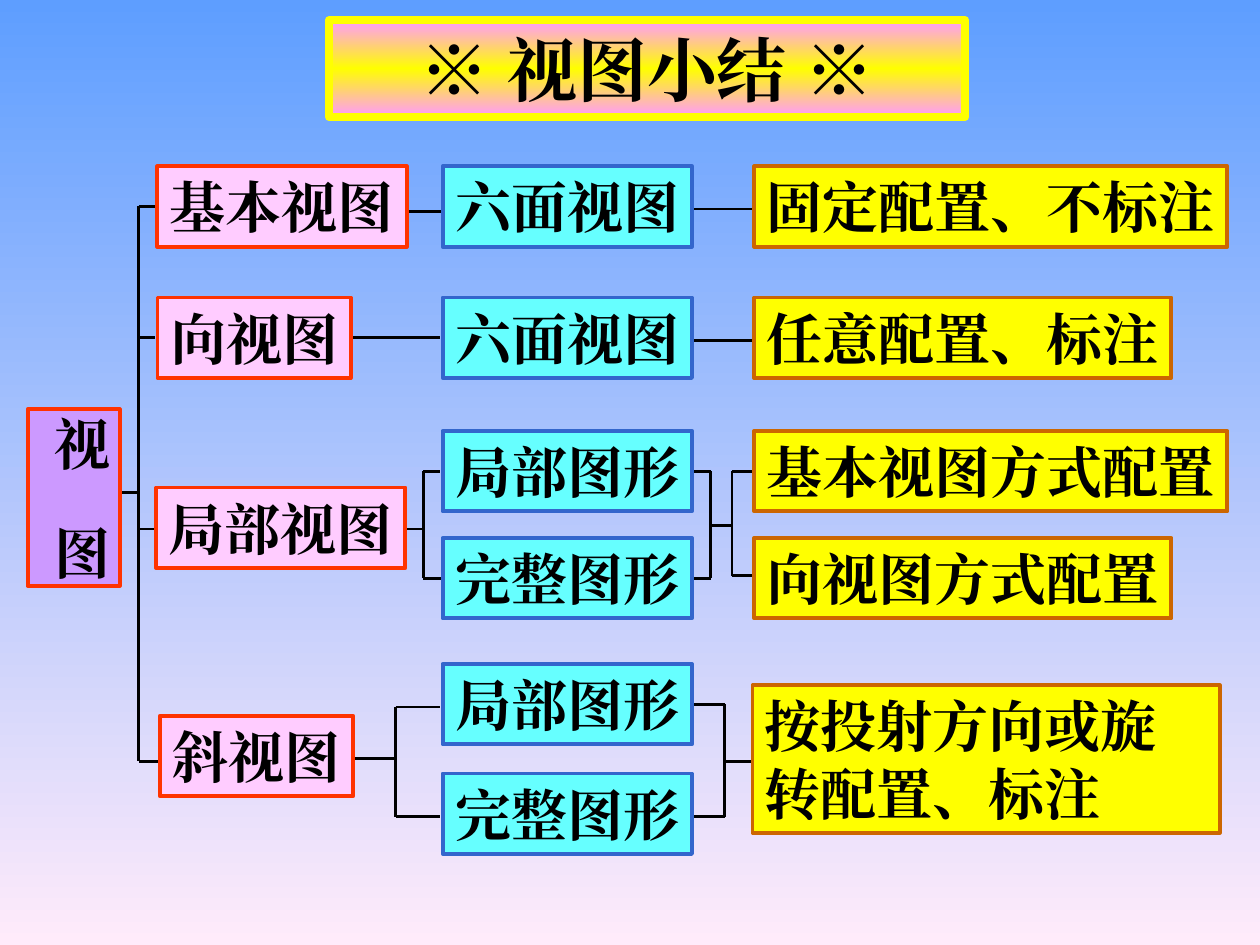
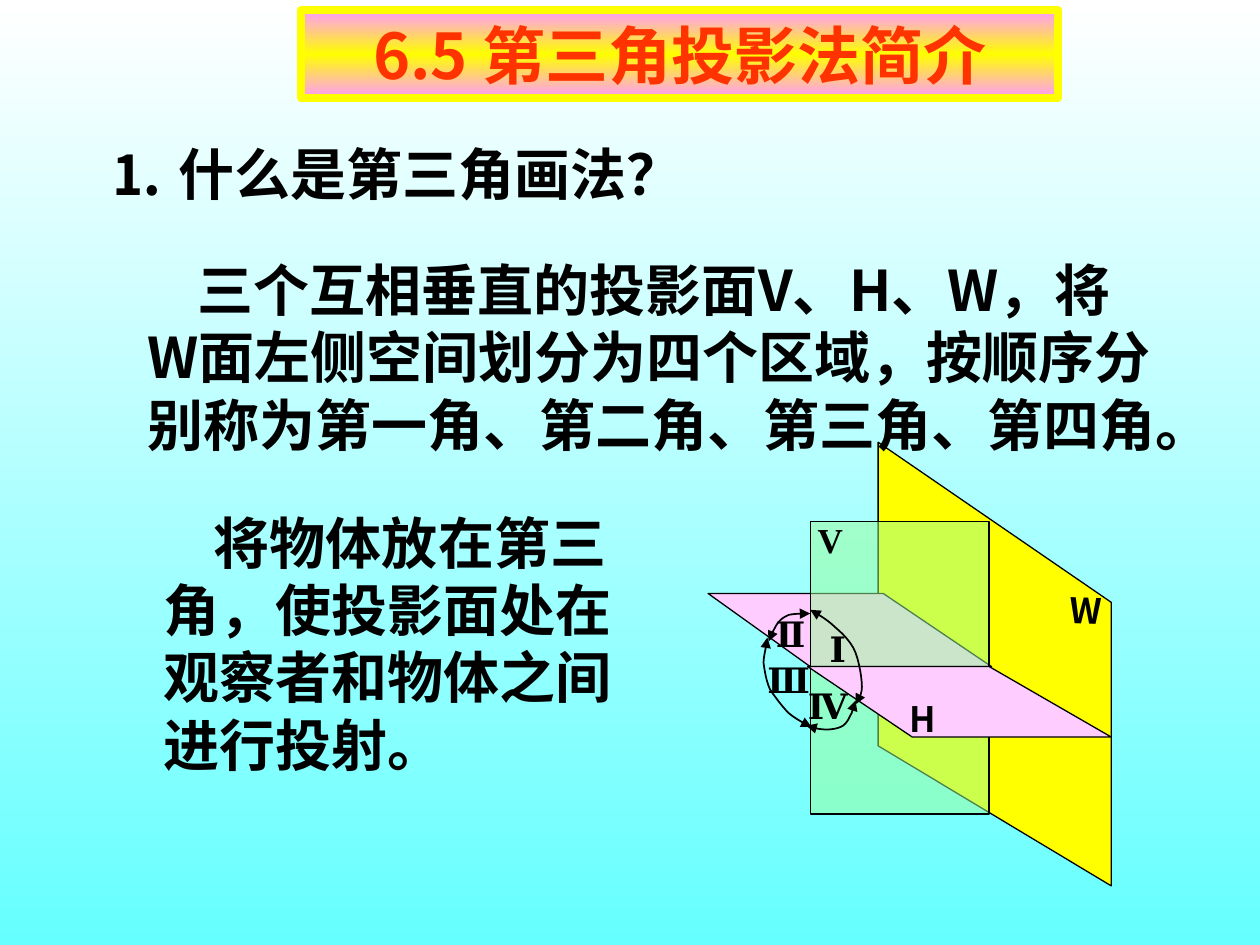
from itertools import pairwise

from lxml.etree import SubElement
from pptx import Presentation
from pptx.dml.color import RGBColor
from pptx.enum.shapes import MSO_CONNECTOR, MSO_SHAPE
from pptx.enum.text import MSO_ANCHOR, PP_ALIGN
from pptx.oxml.ns import qn
from pptx.util import Pt

SERIF = "Times New Roman"
SANS = "Noto Sans CJK SC"
BLACK = "000000"
RED = "FF3300"
YELLOW = "FFFF00"
PINK = "FFCCFF"
BANNER = ("FF99FF", YELLOW, "FF99FF")
KIND = (PINK, RED)
FORM = ("66FFFF", "3366CC")
RULE = (YELLOW, "CC6600")
ROOT = ("CC99FF", RED)
BODY_SIZE = 32
LINE_PITCH = 38.5
ROW_HEIGHT = 46


def colour(value):
    return RGBColor.from_string(value)


def paint_gradient(fill, owner, colours):
    fill.gradient()
    fill.gradient_angle = 270
    stops = owner.find(".//" + qn("a:gsLst"))
    for stop in list(stops):
        stops.remove(stop)
    for index, value in enumerate(colours):
        position = str(100000 * index // (len(colours) - 1))
        stop = SubElement(stops, qn("a:gs"), pos=position)
        SubElement(stop, qn("a:srgbClr"), val=value)


def outline(shape, value, width):
    shape.line.color.rgb = colour(value)
    shape.line.width = Pt(width)


def add_span(para, text, size, font, value=BLACK):
    span = para.add_run()
    span.text = text
    span.font.size = Pt(size)
    span.font.bold = True
    span.font.name = font
    span.font.color.rgb = colour(value)
    SubElement(span.font._element, qn("a:ea"), typeface=font)


def prepare_frame(shape, wrap=True, anchor=MSO_ANCHOR.MIDDLE):
    frame = shape.text_frame
    frame.word_wrap = wrap
    frame.vertical_anchor = anchor
    frame.margin_left = frame.margin_right = Pt(7.2)
    frame.margin_top = frame.margin_bottom = Pt(3.6)
    return frame


def add_banner(page, box, text, size, font, value):
    title = page.shapes.title
    title.left, title.top, title.width, title.height = map(Pt, box)
    paint_gradient(title.fill, title._element, BANNER)
    outline(title, YELLOW, 4.5)
    para = prepare_frame(title).paragraphs[0]
    para.alignment = PP_ALIGN.CENTER
    add_span(para, text, size, font, value)


def add_page(deck, background, *banner):
    page = deck.slides.add_slide(deck.slide_layouts[5])
    paint_gradient(page.background.fill, page.element, background)
    add_banner(page, *banner)
    return page


def add_panel(page, box, style):
    panel = page.shapes.add_shape(MSO_SHAPE.RECTANGLE, *map(Pt, box))
    panel.shadow.inherit = False
    panel.fill.solid()
    panel.fill.fore_color.rgb = colour(style[0])
    outline(panel, style[1], 2.25)
    return panel


def add_node(page, left, top, text, style):
    width = 14.4 + BODY_SIZE * len(text)
    panel = add_panel(page, (left, top, width, ROW_HEIGHT), style)
    para = prepare_frame(panel, wrap=False).paragraphs[0]
    para.alignment = PP_ALIGN.CENTER
    add_span(para, text, BODY_SIZE, SERIF)


def add_root(page, left, top):
    frame = prepare_frame(add_panel(page, (left, top, 52.6, 100.8), ROOT))
    frame.margin_left, frame.margin_right = Pt(10), Pt(0)
    frame.margin_top = frame.margin_bottom = Pt(0)
    for index, text in enumerate("视图"):
        para = frame.add_paragraph() if index else frame.paragraphs[0]
        para.alignment = PP_ALIGN.CENTER
        para.space_before = Pt(24.3 * index)
        add_span(para, text, BODY_SIZE, SERIF)


def add_wire(page, start, end):
    wire = page.shapes.add_connector(
        MSO_CONNECTOR.STRAIGHT, *map(Pt, (*start, *end)))
    outline(wire, BLACK, 1.5)
    SubElement(wire._element.spPr, qn("a:effectLst"))


def add_bracket(page, left, top, spine, ends):
    heights = [y for x, y in ends]
    add_wire(page, (left + spine, top + min(heights)),
             (left + spine, top + max(heights)))
    for x, y in ends:
        add_wire(page, (left + spine, top + y), (left + x, top + y))


def add_view_tree(page, left, top):
    brackets = [
        (69.2, [(57.7, 191.5), (78.6, 28), (78.6, 103), (78.6, 212.4), (80, 345)]),
        (231.9, [(220.4, 212.4), (241.6, 179.3), (242.7, 240.5)]),
        (216.1, [(191.6, 343.4), (241.3, 314), (241.3, 376.6)]),
        (396.1, [(385.3, 179.3), (385.3, 240.5), (408.3, 210.2)]),
        (408.3, [(420.6, 179.3), (420.6, 239)]),
        (404, [(385.3, 312.5), (385.3, 376.6), (420.6, 345)]),
    ]
    for spine, ends in brackets:
        add_bracket(page, left, top, spine, ends)
    for start, end, y in [(223.3, 242.7, 31), (386, 420.6, 29.5),
                          (190.2, 241.3, 103), (386, 420.6, 104.4)]:
        add_wire(page, (left + start, top + y), (left + end, top + y))

    kinds = [(80, 5, "基本视图"), (80, 80, "向视图"),
             (79.3, 188.6, "局部视图"), (81.4, 319, "斜视图")]
    for x, y, text in kinds:
        add_node(page, left + x, top + y, text, KIND)
    forms = ["六面视图", "六面视图", "局部图形", "完整图形", "局部图形", "完整图形"]
    rules = ["固定配置、不标注", "任意配置、标注", "基本视图方式配置", "向视图方式配置"]
    rows = [5, 80, 156.2, 217.4, 289.4, 352]
    for y, text in zip(rows, forms):
        add_node(page, left + 243, top + y, text, FORM)
    for y, text in zip(rows, rules):
        add_node(page, left + 421, top + y, text, RULE)

    panel = add_panel(page, (left + 420, top + 301.7, 267, 84.2), RULE)
    para = prepare_frame(panel).paragraphs[0]
    para.alignment = PP_ALIGN.LEFT
    para.line_spacing = Pt(LINE_PITCH)
    add_span(para, "按投射方向或旋转配置、标注", BODY_SIZE, SERIF)
    add_root(page, left + 5.8, top + 144)


def add_text(page, box, text, indent=0, wrap=True):
    frame = prepare_frame(page.shapes.add_textbox(*map(Pt, box)), wrap)
    para = frame.paragraphs[0]
    para.line_spacing = Pt(LINE_PITCH)
    para._p.get_or_add_pPr().set("indent", str(Pt(indent)))
    add_span(para, text, BODY_SIZE, SANS)


def add_path(page, left, top, points, close):
    places = [(Pt(left + x), Pt(top + y)) for x, y in points]
    builder = page.shapes.build_freeform(*places[0], scale=1.0)
    builder.add_line_segments(places[1:], close=close)
    path = builder.convert_to_shape()
    path.shadow.inherit = False
    return path


def add_plane(page, left, top, points, value, alpha=None):
    plane = add_path(page, left, top, points, True)
    plane.fill.solid()
    plane.fill.fore_color.rgb = colour(value)
    if alpha:
        tint = plane._element.spPr.find(qn("a:solidFill"))[0]
        SubElement(tint, qn("a:alpha"), val=str(alpha * 1000))
    outline(plane, BLACK, 0.75)


def bezier(points, step):
    weights = ((1 - step) ** 3, 3 * step * (1 - step) ** 2,
               3 * step ** 2 * (1 - step), step ** 3)
    return tuple(sum(w * p[axis] for w, p in zip(weights, points))
                 for axis in (0, 1))


def add_arc(page, left, top, points):
    joints = range(0, len(points), 3)
    curve = [points[0]]
    for start, end in pairwise(joints):
        curve += [bezier(points[start:end + 1], n / 6) for n in range(1, 7)]
    arc = add_path(page, left, top, curve, False)
    arc.fill.background()
    outline(arc, BLACK, 1)
    for tag in ("a:headEnd", "a:tailEnd"):
        SubElement(arc.line._ln, qn(tag), type="triangle")


def add_label(page, centre, top, text, font, turn=0):
    box = page.shapes.add_textbox(*map(Pt, (centre - 20, top, 40, 31.7)))
    box.rotation = turn
    para = prepare_frame(box, wrap=False).paragraphs[0]
    para.alignment = PP_ALIGN.CENTER
    add_span(para, text, 20, font)


def add_quadrants(page, left, top):
    planes = [
        ([(101.8, 2.7), (101.8, 176.2), (235, 256.2), (235, 94.2)], YELLOW, None),
        ([(166.6, 130.9), (104.7, 89.1), (4.6, 89.1), (63, 130.9)], PINK, None),
        ([(165.2, 48.1), (165.2, 215.1), (63, 215.1), (63, 48.1)], "99FF99", 50),
        ([(165.2, 130.9), (235, 171.2), (121.3, 171.2), (61.5, 130.9)], PINK, None),
    ]
    for points, value, alpha in planes:
        add_plane(page, left, top, points, value, alpha)
    arcs = [
        [(63, 98.5), (68, 101.4), (73, 104.2), (77.4, 108.6),
         (81.7, 112.2), (86.7, 117.2), (88.9, 123),
         (91, 128.7), (92.5, 137.4), (92.5, 142.4),
         (92.5, 147.4), (90.3, 149.6), (88.9, 152.5)],
        [(63, 100.6), (60.8, 100.6), (53.6, 100.6), (50.7, 101.4),
         (47.8, 102.8), (46.4, 103.5), (44.2, 106.4),
         (42.8, 108.6), (39.9, 114.3), (39.2, 116.5)],
        [(38.5, 114.3), (38.5, 117.2), (36.3, 124.4), (36.3, 128.7),
         (37, 133.8), (37.8, 138.8), (39.9, 143.8),
         (42.8, 148.2), (47.1, 153.9), (50.7, 157.5),
         (55, 161.1), (60.8, 164), (63.7, 165.4)],
        [(88.9, 150.3), (88.9, 151), (87.4, 154.6), (86.7, 157.5),
         (85.3, 159.7), (84.6, 162.6), (81.7, 164.7),
         (79.5, 166.2), (75.2, 166.9), (72.3, 166.9),
         (67.5, 166.9), (63, 165.4), (60.8, 164.7)],
    ]
    for points in arcs:
        add_arc(page, left, top, points)
    labels = [(220.3, 82.6, "W", SANS, 1.9), (74.5, 42.3, "V", SERIF),
              (127.4, 144.6, "H", SANS), (78.8, 105, "Ⅰ", SERIF),
              (51.8, 96.3, "Ⅱ", SERIF), (50.7, 122.2, "Ⅲ", SERIF),
              (73, 137.4, "Ⅳ", SERIF)]
    for x, y, *label in labels:
        add_label(page, left + x, top + y, *label)


def build_summary(deck):
    page = add_page(deck, ("5E9EFF", "FFEBFA"), (188, 11.5, 363.6, 55.4),
                    "※ 视图小结 ※", 40, SERIF, BLACK)
    add_view_tree(page, 10, 90)


def build_third_angle(deck):
    page = add_page(deck, ("FFFFFF", "66FFFF"), (172, 5.8, 432.7, 50.4),
                    "6.5 第三角投影法简介", 36, SANS, RED)
    add_quadrants(page, 400, 250)
    add_text(page, (55.4, 75.6, 342, 46), "⒈ 什么是第三角画法？", wrap=False)
    add_text(page, (77, 123.1, 591.8, 161.3),
             "三个互相垂直的投影面V、H、W，将W面左侧空间划分为四个区域，"
             "按顺序分别称为第一角、第二角、第三角、第四角。", 28.8)
    add_text(page, (86.4, 286.6, 277.9, 161.3),
             "将物体放在第三角，使投影面处在观察者和物体之间进行投射。", 28.8)


def main():
    deck = Presentation()
    deck.slide_width, deck.slide_height = Pt(720), Pt(540)
    build_summary(deck)
    build_third_angle(deck)
    deck.save("out.pptx")


if __name__ == "__main__":
    main()
